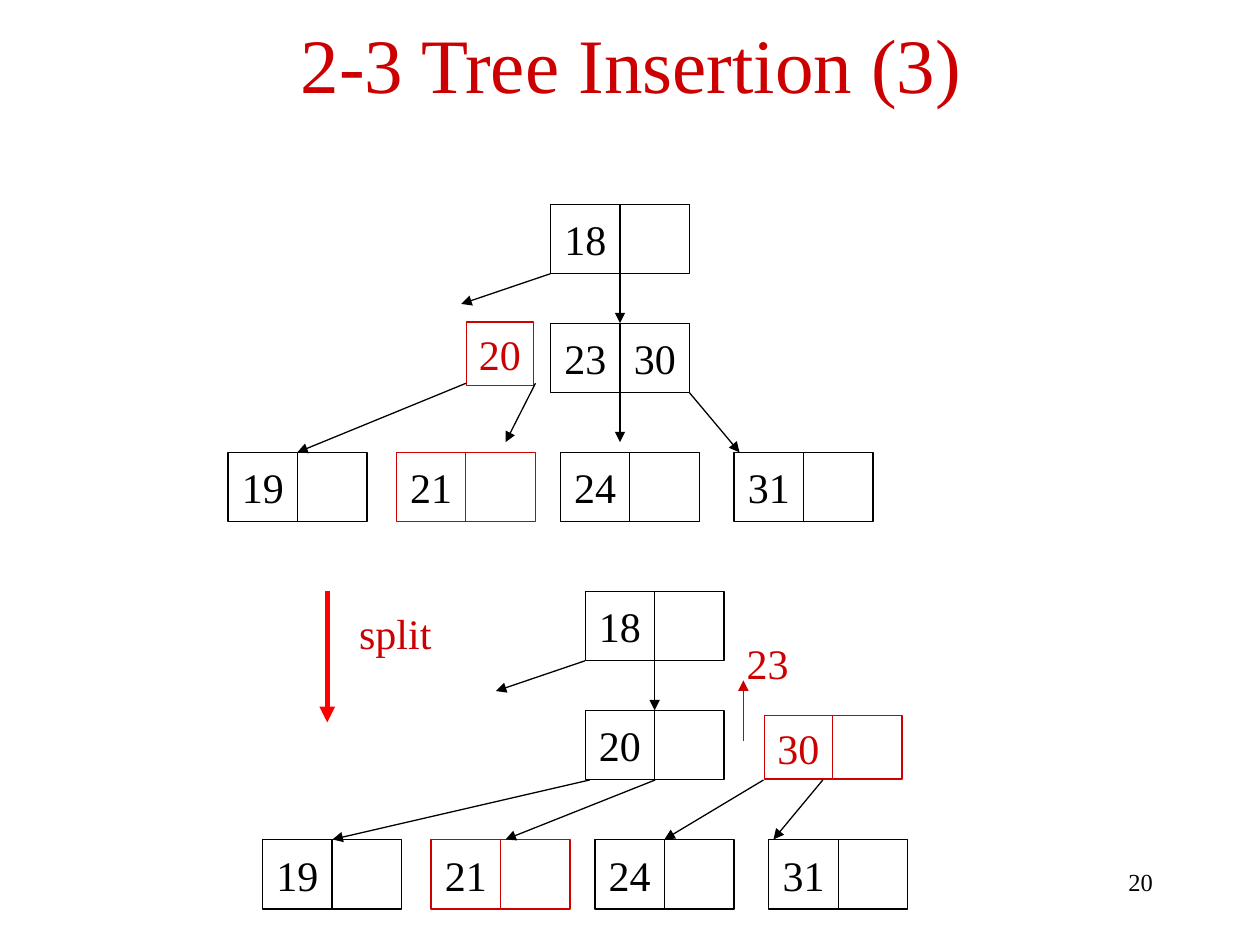
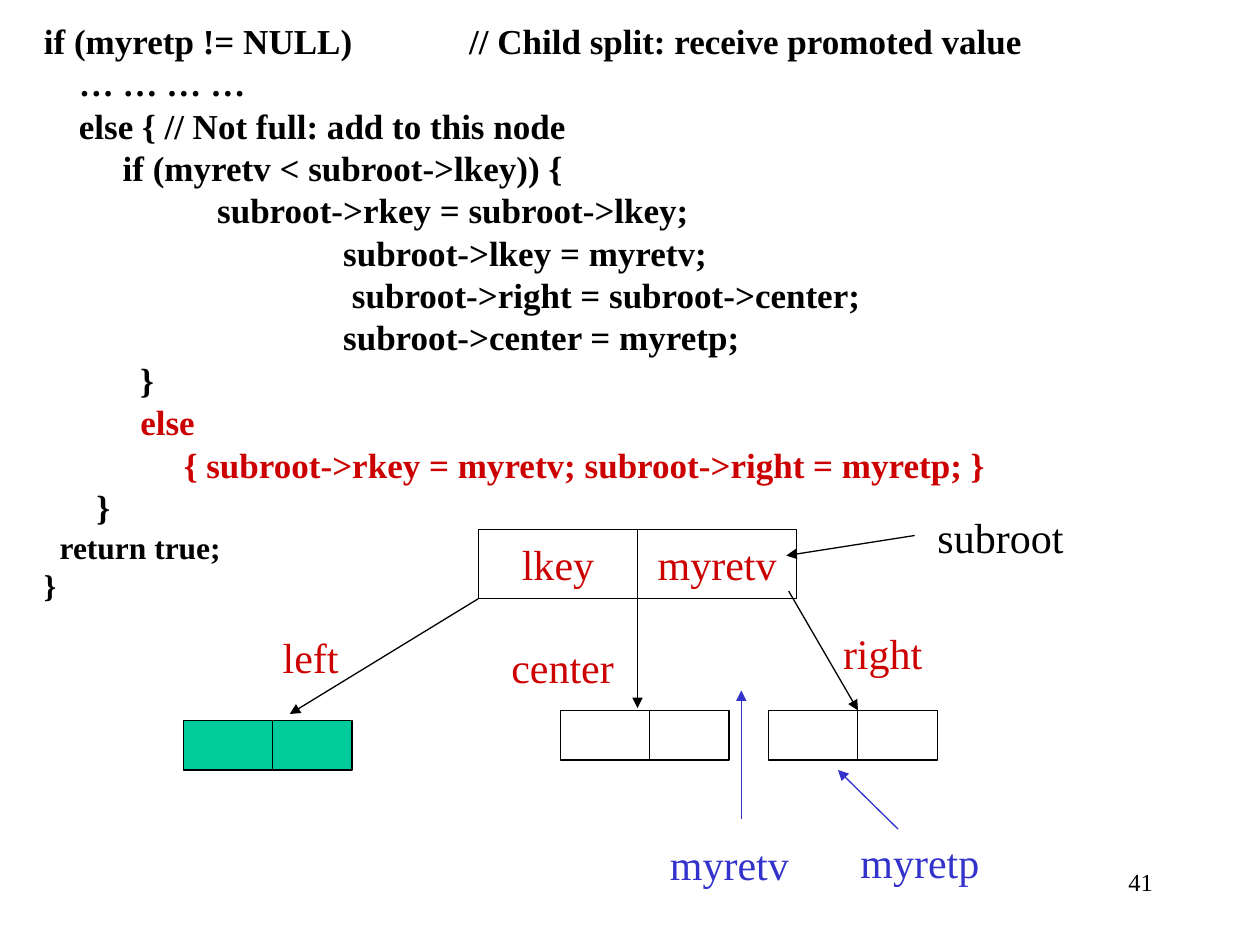
from lxml import etree
from pptx import Presentation
from pptx.dml.color import RGBColor
from pptx.enum.shapes import MSO_CONNECTOR, MSO_SHAPE
from pptx.enum.text import MSO_ANCHOR, PP_ALIGN
from pptx.oxml.ns import qn
from pptx.util import Pt

RECT = MSO_SHAPE.RECTANGLE
STRAIGHT = MSO_CONNECTOR.STRAIGHT
CENTER, RIGHT = PP_ALIGN.CENTER, PP_ALIGN.RIGHT
TOP, MIDDLE = MSO_ANCHOR.TOP, MSO_ANCHOR.MIDDLE

FONT = "Times New Roman"
BLACK, RED, BRIGHT_RED = "000000", "CC0000", "FF0000"
BLUE, GREEN = "3333CC", "00CC99"
CELL = 39.7
TAB_SIZE = 72
HANGING = 27

CODE = [
    (20, [("if (myretp != NULL)\t// Child split: receive promoted value", BLACK)]),
    (20, [("    … … … …", BLACK)]),
    (20, [("    else { // Not full: add to this node", BLACK)]),
    (20, [("         if (myretv < subroot->lkey)) {", BLACK)]),
    (20, [("              \tsubroot->rkey = subroot->lkey;", BLACK)]),
    (20, [("        \t\tsubroot->lkey = myretv;", BLACK)]),
    (20, [("       \t\t subroot->right = subroot->center;", BLACK)]),
    (20, [("        \t\tsubroot->center = myretp;", BLACK)]),
    (20, [("           }", BLACK)]),
    (20, [("           ", BLACK), ("else", RED)]),
    (20, [("                { subroot->rkey = myretv; subroot->right = myretp; }", RED)]),
    (20, [("      }", BLACK)]),
    (18, [("  return true;", BLACK)]),
    (18, [("}", BLACK)]),
]


def rgb(color):
    return RGBColor.from_string(color)


class Deck:
    def __init__(self):
        self.prs = Presentation()
        self.prs.slide_width, self.prs.slide_height = Pt(720), Pt(540)
        self.s = None

    def slide(self, number):
        self.s = self.prs.slides.add_slide(self.prs.slide_layouts[6])
        self.label(516.2, 491.8, 142.6, str(number), BLACK, 14, RIGHT)

    def run(self, p, text, color, size, bold=False):
        r = p.add_run()
        r.text = text
        r.font.name, r.font.size, r.font.bold = FONT, Pt(size), bold
        r.font.color.rgb = rgb(color)

    def label(self, x, y, w, text, color, size=24, align=CENTER, h=36, anchor=TOP):
        sp = self.s.shapes.add_textbox(Pt(x), Pt(y), Pt(w), Pt(h))
        tf = sp.text_frame
        tf.word_wrap = True
        tf.margin_left = tf.margin_right = Pt(0)
        tf.vertical_anchor = anchor
        p = tf.paragraphs[0]
        p.alignment = align
        self.run(p, text, color, size)

    def title(self, text):
        self.label(36.7, 0, 648, text, RED, 44, h=72, anchor=MIDDLE)

    def cell(self, x, y, text="", w=CELL, h=CELL, line=BLACK, color=BLACK, fill=None):
        sp = self.s.shapes.add_shape(RECT, Pt(x), Pt(y), Pt(w), Pt(h))
        sp.shadow.inherit = False
        if fill:
            sp.fill.solid()
            sp.fill.fore_color.rgb = rgb(fill)
        else:
            sp.fill.background()
        sp.line.color.rgb = rgb(line)
        sp.line.width = Pt(0.75)
        if text:
            tf = sp.text_frame
            tf.word_wrap = False
            tf.vertical_anchor = MIDDLE
            p = tf.paragraphs[0]
            p.alignment = CENTER
            self.run(p, text, color, 24)

    def node(self, x, y, keys=("", ""), widths=(CELL, CELL), **style):
        for key, w in zip(keys, widths):
            self.cell(x, y, key, w, **style)
            x += w

    def arrow(self, x1, y1, x2, y2, color=BLACK, width=0.75):
        c = self.s.shapes.add_connector(STRAIGHT, Pt(x1), Pt(y1), Pt(x2), Pt(y2))
        c.line.color.rgb = rgb(color)
        c.line.width = Pt(width)
        ln = c.line._get_or_add_ln()
        etree.SubElement(ln, qn("a:tailEnd"), type="triangle")
        etree.SubElement(ln.getparent(), qn("a:effectLst"))

    def code(self, x, y, w, h, lines):
        tf = self.s.shapes.add_textbox(Pt(x), Pt(y), Pt(w), Pt(h)).text_frame
        tf.word_wrap = True
        for i, (size, runs) in enumerate(lines):
            p = tf.add_paragraph() if i else tf.paragraphs[0]
            pPr = p._p.get_or_add_pPr()
            pPr.set("marL", str(Pt(HANGING)))
            pPr.set("indent", str(-Pt(HANGING)))
            pPr.set("defTabSz", str(Pt(TAB_SIZE)))
            p.line_spacing = 0.8
            if i:
                p.space_before = Pt(size / 4)
            for text, color in runs:
                self.run(p, text, color, size, True)


def tree(deck, dx, dy, child_keys):
    x, y = 314.6 + dx, 116.7 + dy
    deck.node(x, y, ("18", ""))
    deck.node(x, y + 68, child_keys)
    deck.arrow(x + CELL, y + CELL, x + CELL, y + 68)
    deck.arrow(x, y + CELL, x - 51, y + 57)
    for leaf_x, key in ((130.3, "19"), (226.5, "21"), (320.2, "24"), (419.5, "31")):
        line = RED if key == "21" else BLACK
        deck.node(leaf_x + dx, 258.5 + dy, (key, ""), line=line)


def insertion_slide(deck):
    deck.slide(20)
    deck.title("2-3 Tree Insertion (3)")
    tree(deck, 0, 0, ("23", "30"))
    deck.cell(266.4, 184, "20", 38.4, 36.2, RED, RED)
    tree(deck, 19.8, 221.2, ("20", ""))
    deck.node(436.8, 409, ("30", ""), (38.9, CELL), h=36.2, line=RED, color=RED)
    for ends in (
        (266.4, 219, 169.9, 258.5),
        (306, 219, 288.9, 252.7),
        (354.3, 224.4, 354.3, 252.7),
        (394, 224.4, 422.6, 258.5),
        (337, 445.7, 190, 479.7),
        (374.4, 445.7, 288.9, 479.7),
        (436.3, 445.7, 379.7, 479.7),
        (470.2, 445.7, 442, 479.7),
    ):
        deck.arrow(*ends)
    deck.arrow(424.8, 423.4, 424.8, 388.8, RED)
    deck.label(419.6, 360.9, 38.2, "23", RED)
    deck.arrow(187, 337.8, 187, 412.8, BRIGHT_RED, 3)
    deck.label(198.2, 343.6, 55.4, "split", RED)


def code_slide(deck):
    deck.slide(41)
    deck.code(18, 12.2, 702, 377.3, CODE)
    deck.node(273.4, 302.4, ("lkey", "myretv"), (90.9, 90.9), color=RED)
    for x, y, fill in ((104.8, 411.7, GREEN), (320.2, 406, None), (439.2, 406, None)):
        deck.node(x, y, widths=(51, 45.4), h=28.4, fill=fill)
    for ends in (
        (273.4, 342.1, 165.6, 408),
        (364.3, 342.1, 364.3, 404.6),
        (450.7, 337.8, 490.3, 406),
        (522.7, 306, 449.3, 317.5),
    ):
        deck.arrow(*ends)
    deck.arrow(423.6, 468, 423.6, 394.6, BLUE)
    deck.arrow(513.2, 473.8, 478.8, 440, BLUE)
    for x, y, w, text, color in (
        (154.5, 357.1, 46, "left", RED),
        (285.1, 362.9, 72.7, "center", RED),
        (474.5, 355, 59.8, "right", RED),
        (528.5, 289, 86.4, "subroot", BLACK),
        (375.8, 475.7, 82, "myretv", BLUE),
        (484.6, 474.5, 82, "myretp", BLUE),
    ):
        deck.label(x, y, w, text, color)


def main():
    deck = Deck()
    insertion_slide(deck)
    code_slide(deck)
    deck.prs.save("out.pptx")


if __name__ == "__main__":
    main()
